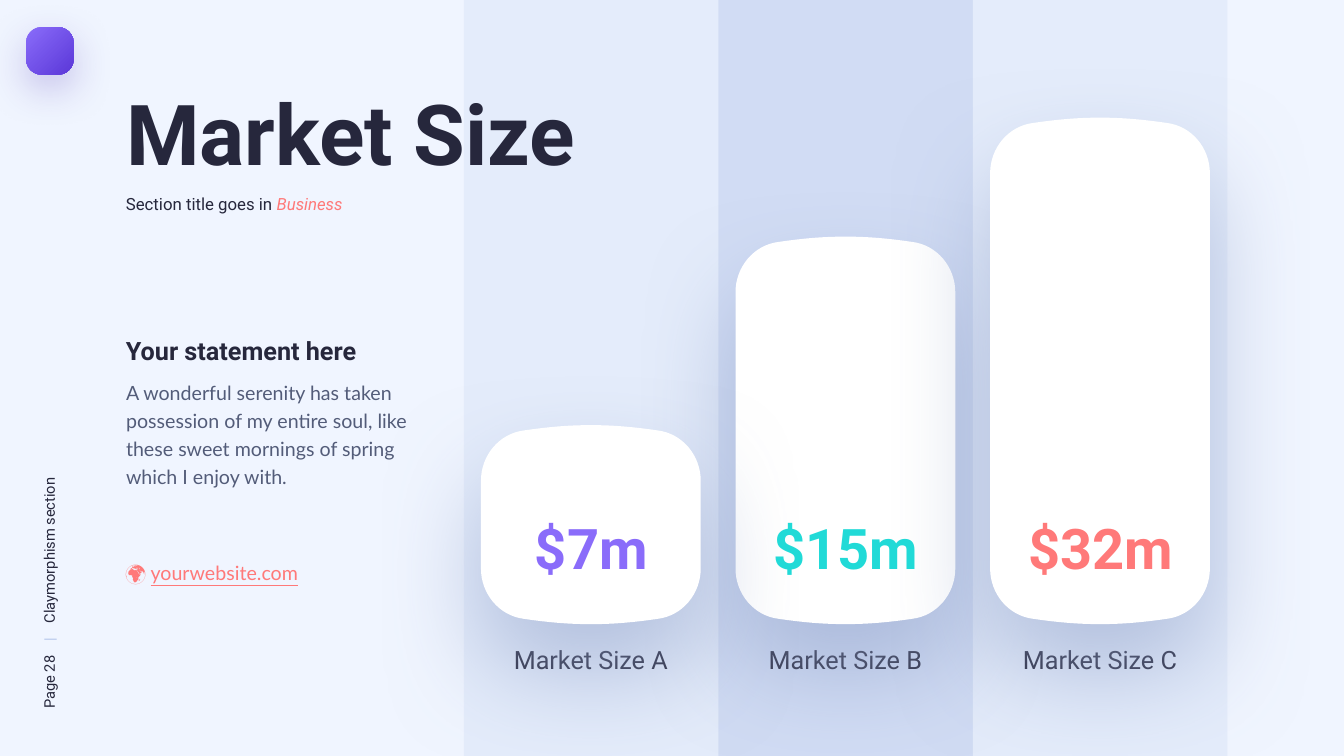
from lxml.etree import SubElement
from pptx import Presentation
from pptx.dml.color import RGBColor as Rgb
from pptx.enum.shapes import MSO_SHAPE as Preset
from pptx.enum.text import MSO_ANCHOR as Anchor, MSO_AUTO_SIZE as AutoSize, PP_ALIGN as Align
from pptx.oxml.ns import qn
from pptx.util import Inches, Pt

COLORS = {
    "background": "F0F5FF", "band": "E4ECFB", "accent_band": "B3C5EA",
    "ink": "26273C", "muted": "535C79", "white": "FFFFFF", "tile_shadow": "93A4CB",
    "violet": "8A6CFA", "deep_violet": "5B38D8", "badge_shadow": "3F21AB",
    "teal": "21DAD7", "coral": "FF7979",
}
PITCH = 5.05 / 2
TILE_WIDTH = 2.18
TILE_BOTTOM = 6.19
# Market: label, value, value colour, tile top, band colour, band opacity in percent
MARKETS = [
    ("Market Size A", "$7m", "violet", 4.22, "band", 100),
    ("Market Size B", "$15m", "teal", 2.35, "accent_band", 50),
    ("Market Size C", "$32m", "coral", 1.17, "band", 100),
]


def rgb(name):
    return Rgb.from_string(COLORS[name])


def add_alpha(color_element, percent):
    SubElement(color_element, qn("a:alpha"), val=str(percent * 1000))


def bezier(p0, p1, p2, p3, steps=16):
    """Points along a cubic curve, with its start left out."""
    for step in range(1, steps + 1):
        t = step / steps
        weights = ((1 - t) ** 3, 3 * t * (1 - t) ** 2, 3 * t * t * (1 - t), t ** 3)
        yield tuple(sum(w * p[axis] for w, p in zip(weights, (p0, p1, p2, p3)))
                    for axis in (0, 1))


def clay_outline(width, height):
    """Soft rectangle with round corners and slightly bulging ends."""
    side, shoulder = (0, 0.55), (0.43, 0.05)
    corner = [side, *bezier(side, (0, 0.3), (0.18, 0.08), shoulder)]
    bulge = bezier(shoulder, (0.9, -0.02), (width - 0.9, -0.02), (width - 0.43, 0.05))
    top = corner + list(bulge) + [(width - x, y) for x, y in reversed(corner)]
    return top + [(x, height - y) for x, y in reversed(top)]


def add_text(paragraph, text, size=12, font="Roboto", color="ink",
             bold=False, italic=False, underline=False):
    run = paragraph.add_run()
    run.text = text
    run.font.name, run.font.size = font, Pt(size)
    run.font.bold, run.font.italic, run.font.underline = bold, italic, underline
    run.font.color.rgb = rgb(color)


class SlideBuilder:
    def __init__(self, deck):
        self.slide = deck.slides.add_slide(deck.slide_layouts[1])
        self.shapes = self.slide.shapes
        self.slide.background.fill.solid()
        self.slide.background.fill.fore_color.rgb = rgb("background")

    def fill_text(self, shape, runs, align=Align.LEFT, spacing=1.0, **style):
        """Write (text, style changes) pairs as the shape's paragraph."""
        frame = shape.text_frame
        frame.word_wrap, frame.vertical_anchor = True, Anchor.TOP
        frame.auto_size = AutoSize.SHAPE_TO_FIT_TEXT
        paragraph = frame.paragraphs[0]
        paragraph.alignment, paragraph.line_spacing = align, spacing
        for text, changes in runs:
            add_text(paragraph, text, **{**style, **changes})
        return paragraph

    def text(self, box, runs, **style):
        holder = self.shapes.add_textbox(*map(Inches, box))
        return holder, self.fill_text(holder, runs, **style)

    def placeholder(self, index, box, runs, **style):
        holder = self.slide.placeholders[index]
        holder.left, holder.top, holder.width, holder.height = map(Inches, box)
        self.shapes._spTree.append(holder._element)  # bring above the bands
        paragraph = self.fill_text(holder, runs, **style)
        paragraph.space_before = Pt(0)
        return paragraph

    def paint(self, shape, color, alpha=100):
        shape.shadow.inherit = False
        shape.fill.solid()
        shape.fill.fore_color.rgb = rgb(color)
        if alpha < 100:
            add_alpha(shape._element.spPr.find(qn("a:solidFill"))[0], alpha)
        shape.line.fill.background()
        return shape

    def shadow(self, shape, color, alpha, blur, distance):
        effects = shape._element.spPr.find(qn("a:effectLst"))
        outer = SubElement(effects, qn("a:outerShdw"), blurRad=str(Pt(blur)),
                           dist=str(Pt(distance)), dir="5400000", algn="t",
                           rotWithShape="0")
        add_alpha(SubElement(outer, qn("a:srgbClr"), val=COLORS[color]), alpha)

    def band(self, left, color, alpha):
        box = map(Inches, (left, 0, PITCH, 7.5))
        self.paint(self.shapes.add_shape(Preset.RECTANGLE, *box), color, alpha)

    def badge(self, left, top, size):
        box = map(Inches, (left, top, size, size))
        badge = self.paint(self.shapes.add_shape(Preset.ROUNDED_RECTANGLE, *box), "violet")
        badge.adjustments[0] = 0.32
        badge.fill.gradient()
        badge.fill.gradient_angle = 315
        for stop, color in zip(badge.fill.gradient_stops, ("violet", "deep_violet")):
            stop.color.rgb = rgb(color)
        self.shadow(badge, "badge_shadow", 25, 30, 10)

    def tile(self, left, top):
        outline = [(Inches(left + x), Inches(top + y))
                   for x, y in clay_outline(TILE_WIDTH, TILE_BOTTOM - top)]
        builder = self.shapes.build_freeform(*outline[0])
        builder.add_line_segments(outline[1:], close=True)
        tile = self.paint(builder.convert_to_shape(), "white")
        self.shadow(tile, "tile_shadow", 60, 73, 35)


def main():
    deck = Presentation()
    deck.slide_width, deck.slide_height = Inches(13.33), Inches(7.5)
    page = SlideBuilder(deck)

    # Side label and badge
    side_label, side_line = page.text(
        (-1.11, 5.38, 3.21, 0.29),
        [("Page 28\t", {}), ("|\t", {"color": "accent_band"}), ("Claymorphism section", {})],
        size=10.5)
    side_label.rotation = 270
    tabs = SubElement(side_line._p.get_or_add_pPr(), qn("a:tabLst"))
    for stop in (0.67, 0.85):
        SubElement(tabs, qn("a:tab"), pos=str(Inches(stop)), algn="l")
    page.badge(0.26, 0.27, 0.47)

    # Column bands
    for column, (*_, band_color, opacity) in enumerate(MARKETS):
        page.band(4.6 + column * PITCH, band_color, opacity)

    # Heading
    page.placeholder(0, (1.15, 0.76, 8.58, 1.11), [("Market Size", {})], size=60, bold=True)
    page.text((1.15, 1.87, 3.56, 0.3),
              [("Section title goes in ", {}), ("Business", {"color": "coral", "italic": True})])

    # Market labels, tiles and values; tile A lies on top so its shadow reaches B
    for column, (label, *_) in enumerate(MARKETS):
        page.text((4.77 + column * PITCH, 6.34, TILE_WIDTH, 0.4), [(label, {})],
                  size=18, align=Align.CENTER)
    for column in (1, 2, 0):
        page.tile(4.77 + column * PITCH, MARKETS[column][3])
    for column, (_, value, color, *_) in enumerate(MARKETS):
        page.text((4.68 + column * PITCH, 5.05, 2.37, 0.77), [(value, {})],
                  size=40, bold=True, color=color, align=Align.CENTER)

    # Statement and website
    statement = page.placeholder(
        1, (1.15, 3.68, 3.18, 1.2),
        [("A wonderful serenity has taken possession of my entire soul, like these "
          "sweet mornings of spring which I enjoy with.", {})],
        size=14, font="Lato", color="muted", spacing=1.2)
    properties = statement._p.get_or_add_pPr()
    properties.set("marL", "0")
    properties.set("indent", "0")
    SubElement(properties, qn("a:buNone"))
    page.text((1.15, 3.28, 3.18, 0.4), [("Your statement here", {})], size=18, bold=True)
    page.text((1.15, 5.47, 3.18, 0.35),
              [("🌍 ", {}), ("yourwebsite.com", {"underline": True})],
              size=14, font="Lato", color="coral", spacing=1.2)

    deck.save("out.pptx")


if __name__ == "__main__":
    main()
